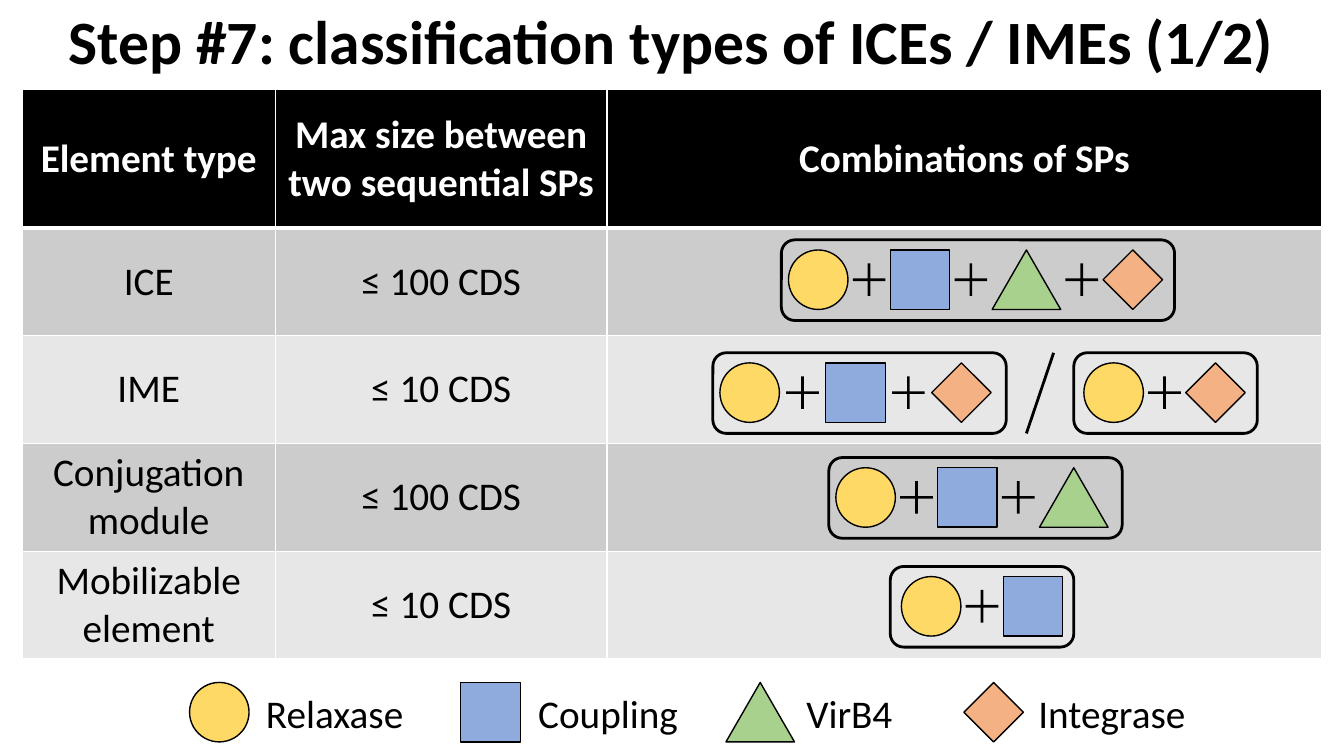
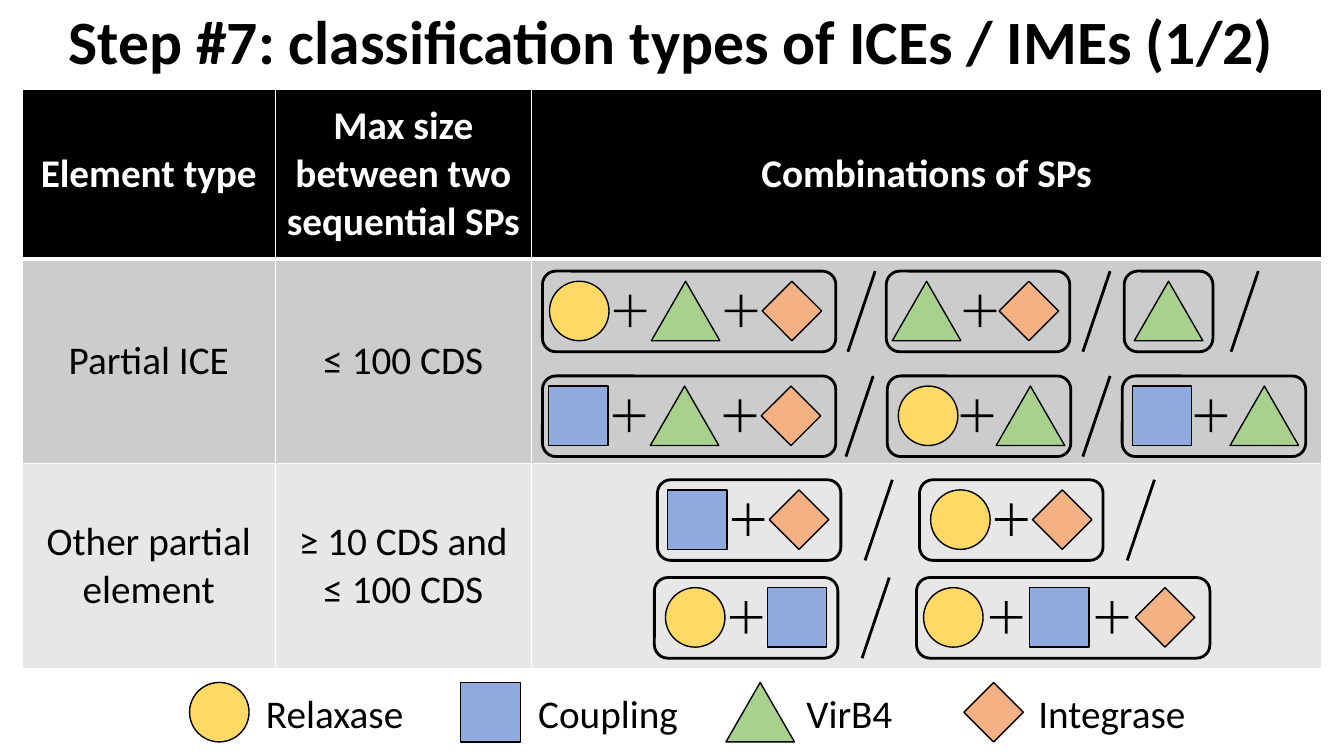
from lxml import etree
from pptx import Presentation
from pptx.dml.color import RGBColor
from pptx.enum.shapes import MSO_CONNECTOR, MSO_SHAPE
from pptx.enum.text import MSO_ANCHOR, PP_ALIGN
from pptx.oxml.ns import qn
from pptx.util import Pt

PX = 9144  # EMU in one px, at 100 px to the inch
FONT = "Calibri"
BLACK = RGBColor(0x00, 0x00, 0x00)
WHITE = RGBColor(0xFF, 0xFF, 0xFF)
BANDS = (RGBColor(0xCC, 0xCC, 0xCC), RGBColor(0xE7, 0xE7, 0xE7))
CENTER, LEFT = PP_ALIGN.CENTER, PP_ALIGN.LEFT
TOP, MIDDLE = MSO_ANCHOR.TOP, MSO_ANCHOR.MIDDLE
ROUNDED, PLUS = MSO_SHAPE.ROUNDED_RECTANGLE, MSO_SHAPE.MATH_PLUS
STRAIGHT = MSO_CONNECTOR.STRAIGHT

PAGE_WIDTH, PAGE_HEIGHT = 1333, 750
TABLE_LEFT, TABLE_TOP = 22, 89
MARK_HEIGHT, PLUS_SIZE, MARK_GAP = 59, 44, 42
FRAME_HEIGHT, FRAME_INSET = 80, 10
FRAME_WIDTHS = {1: 88, 2: 182, 3: 291, 4: 390}  # by number of proteins
SLASH_WIDTH = 27
LEGEND_TOP, LABEL_TOP = 677, 684

TITLE = "Step #7: classification types of ICEs / IMEs (1/2)"
HEADER = ("Element type", "Max size between two sequential SPs", "Combinations of SPs")

# letter: preset shape, width, colour
PROTEINS = {
    "R": (MSO_SHAPE.OVAL, 59, RGBColor(0xFF, 0xD9, 0x66)),
    "C": (MSO_SHAPE.RECTANGLE, 59, RGBColor(0x8F, 0xAA, 0xDC)),
    "V": (MSO_SHAPE.ISOSCELES_TRIANGLE, 68, RGBColor(0xA9, 0xD1, 0x8E)),
    "I": (MSO_SHAPE.DIAMOND, 59, RGBColor(0xF4, 0xB1, 0x83)),
}

# protein, mark left, label, label left
LEGEND = (
    ("R", 188, "Relaxase", 254),
    ("C", 457, "Coupling", 524),
    ("V", 720, "VirB4", 790),
    ("I", 956, "Integrase", 1020),
)

# lines: top, combinations (proteins, frame left, first mark left, gap), slash lefts
SLIDES = (
    {
        "columns": (251, 329, 709),
        "heights": (137, 107, 107, 107, 107),
        "rows": (
            ("ICE", "≤ 100 CDS"),
            ("IME", "≤ 10 CDS"),
            ("Conjugation module", "≤ 100 CDS"),
            ("Mobilizable element", "≤ 10 CDS"),
        ),
        "lines": (
            (238, [("RCVI", 775, 782, MARK_GAP)], []),
            (350, [("RCI", 707, 714, 46), ("RI", 1065, 1075, MARK_GAP)], [1018]),
            (454, [("RCV", 822, 829, MARK_GAP)], []),
            (562, [("RC", 883, 894, MARK_GAP)], []),
        ),
    },
    {
        "columns": (251, 254, 784),
        "heights": (168, 203, 203),
        "rows": (
            ("Partial ICE", "≤ 100 CDS"),
            ("Other partial element", "≥ 10 CDS and ≤ 100 CDS"),
        ),
        "lines": (
            (269, [("RVI", 538, 545, MARK_GAP), ("VI", 879, 885, 38),
                   ("V", 1115, 1125, 0)], [841, 1074, 1221]),
            (373, [("CVI", 538, 544, MARK_GAP), ("RV", 880, 891, 38),
                   ("CV", 1113, 1123, 38)], [839, 1074]),
            (476, [("CI", 652, 662, MARK_GAP), ("RI", 912, 923, MARK_GAP)], [858, 1118]),
            (573, [("RC", 649, 660, MARK_GAP), ("RCI", 909, 916, 46)], [855]),
        ),
    },
)


def px(*lengths):
    return [round(length * PX) for length in lengths]


def write(frame, text, size, color, bold=False, align=LEFT, spacing=None):
    frame.word_wrap = True
    para = frame.paragraphs[0]
    para.text = text
    para.alignment = align
    para.line_spacing = spacing
    para.font.name = FONT
    para.font.size = Pt(size)
    para.font.bold = bold
    para.font.color.rgb = color


def add_text(page, area, text, size, bold=False, align=LEFT, anchor=TOP):
    frame = page.shapes.add_textbox(*px(*area)).text_frame
    frame.vertical_anchor = anchor
    write(frame, text, size, BLACK, bold, align, 0.9)


def add_shape(page, preset, area, fill=None, line_width=None):
    shape = page.shapes.add_shape(preset, *px(*area))
    shape.shadow.inherit = False
    if fill is None:
        shape.fill.background()
    else:
        shape.fill.solid()
        shape.fill.fore_color.rgb = fill
    if line_width is None:
        shape.line.fill.background()
    else:
        shape.line.color.rgb = BLACK
        shape.line.width = Pt(line_width)
    return shape


def add_protein(page, letter, left, top):
    """Draw one protein mark and return its right edge."""
    preset, width, color = PROTEINS[letter]
    add_shape(page, preset, (left, top, width, MARK_HEIGHT), color, 1)
    return left + width


def add_combination(page, top, letters, frame_left, mark_left, gap):
    """Draw proteins joined by plus signs inside a rounded frame."""
    mark_top = top + FRAME_INSET
    plus_top = mark_top + (MARK_HEIGHT - PLUS_SIZE) / 2
    for index, letter in enumerate(letters):
        if index:
            plus_left = mark_left - (gap + PLUS_SIZE) / 2
            plus = add_shape(page, PLUS, (plus_left, plus_top, PLUS_SIZE, PLUS_SIZE), BLACK)
            plus.adjustments[0] = 0.06
        mark_left = add_protein(page, letter, mark_left, mark_top) + gap
    add_shape(page, ROUNDED, (frame_left, top, FRAME_WIDTHS[len(letters)], FRAME_HEIGHT),
              line_width=2)


def add_slash(page, left, top):
    line = page.shapes.add_connector(
        STRAIGHT, *px(left + SLASH_WIDTH, top, left, top + FRAME_HEIGHT))
    line.line.color.rgb = BLACK
    line.line.width = Pt(2)
    etree.SubElement(line._element.spPr, qn("a:effectLst"))


def set_borders(cell, row_index):
    """White borders, thicker between the header and the first row."""
    properties = cell._tc.get_or_add_tcPr()
    widths = {"lnL": 1, "lnR": 1, "lnT": 3 if row_index == 1 else 1,
              "lnB": 3 if row_index == 0 else 1}
    for tag, width in widths.items():
        border = etree.SubElement(properties, qn(f"a:{tag}"), w=str(Pt(width)))
        fill = etree.SubElement(border, qn("a:solidFill"))
        etree.SubElement(fill, qn("a:srgbClr"), val=str(WHITE))


def add_element_table(page, columns, heights, rows):
    area = px(TABLE_LEFT, TABLE_TOP, sum(columns), sum(heights))
    table = page.shapes.add_table(len(heights), len(columns), *area).table
    for column, width in zip(table.columns, px(*columns)):
        column.width = width
    for row, height in zip(table.rows, px(*heights)):
        row.height = height
    for row_index, texts in enumerate((HEADER, *rows)):
        is_header = row_index == 0
        for column_index in range(len(columns)):
            cell = table.cell(row_index, column_index)
            set_borders(cell, row_index)
            cell.fill.solid()
            cell.fill.fore_color.rgb = BLACK if is_header else BANDS[(row_index - 1) % 2]
            cell.vertical_anchor = MIDDLE
            if column_index < len(texts):
                write(cell.text_frame, texts[column_index], 28,
                      WHITE if is_header else BLACK, is_header, CENTER)


def add_legend(page):
    for letter, mark_left, label, label_left in LEGEND:
        add_protein(page, letter, mark_left, LEGEND_TOP)
        add_text(page, (label_left, LABEL_TOP, 186, 62), label, 28)


def build_slide(deck, content):
    page = deck.slides.add_slide(deck.slide_layouts[6])
    add_text(page, (0, 0, PAGE_WIDTH, TABLE_TOP), TITLE, 44, True, CENTER, MIDDLE)
    add_element_table(page, content["columns"], content["heights"], content["rows"])
    add_legend(page)
    for top, combinations, slashes in content["lines"]:
        for combination in combinations:
            add_combination(page, top, *combination)
        for left in slashes:
            add_slash(page, left, top)


def main():
    deck = Presentation()
    deck.slide_width, deck.slide_height = px(PAGE_WIDTH, PAGE_HEIGHT)
    for content in SLIDES:
        build_slide(deck, content)
    deck.save("out.pptx")


if __name__ == "__main__":
    main()
